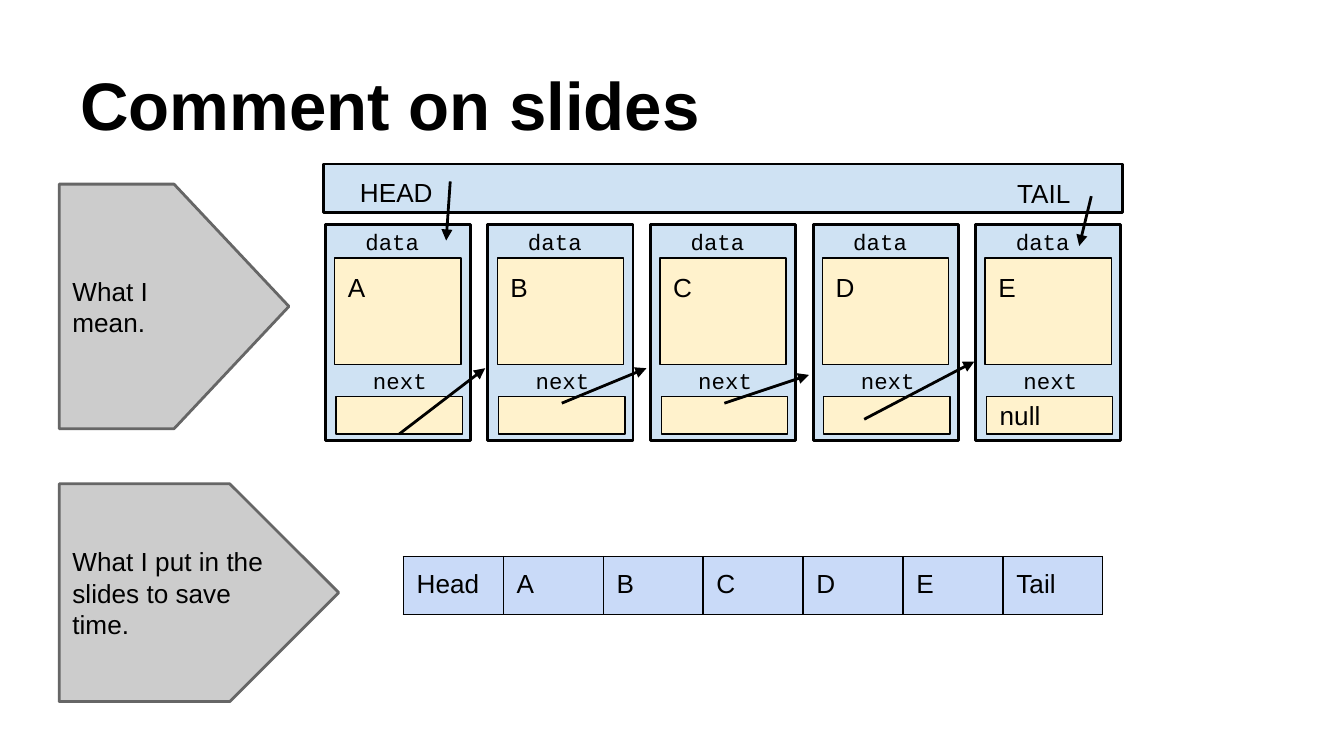
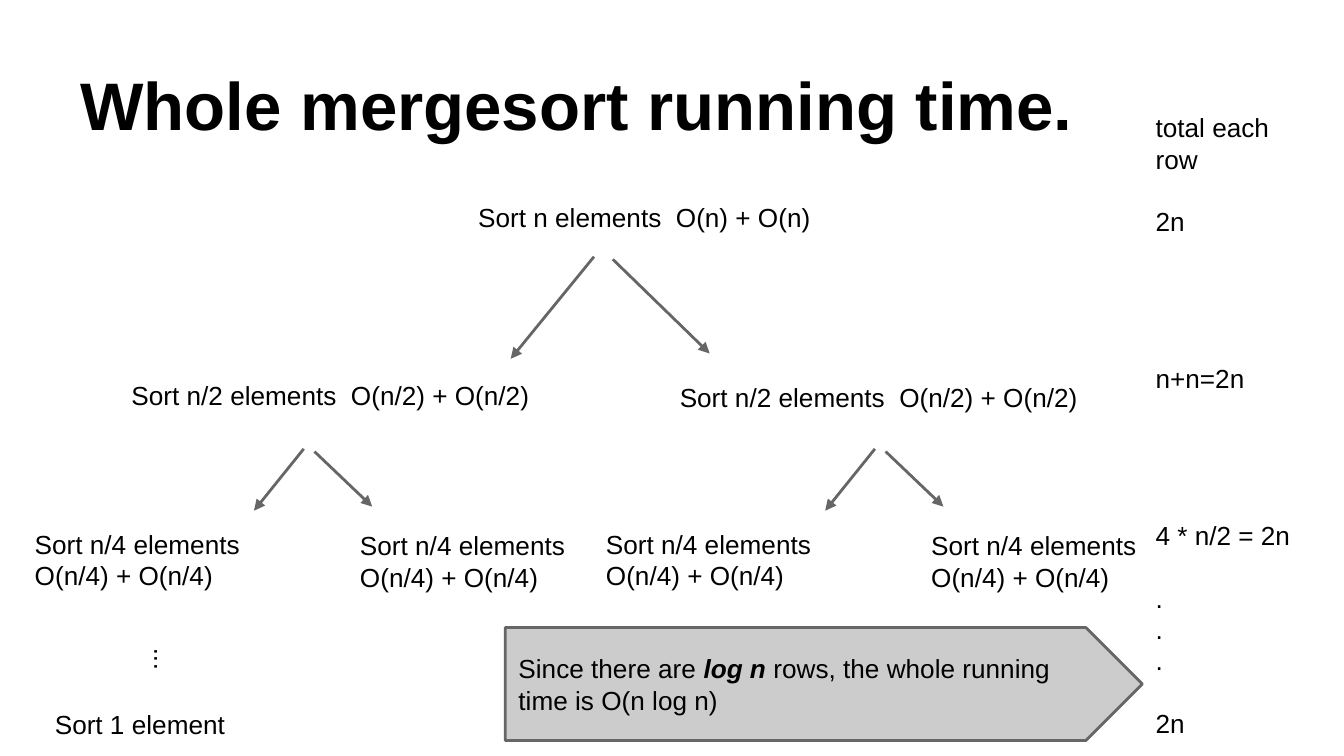
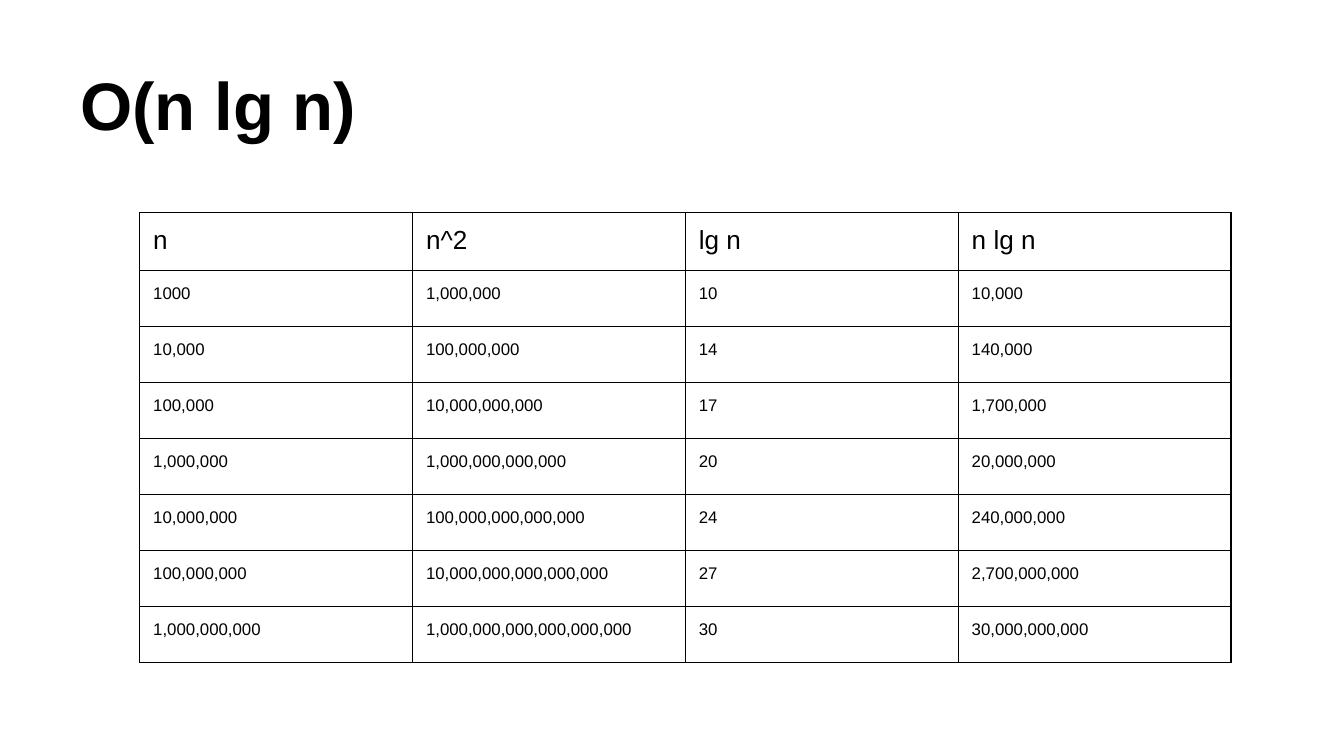
from lxml import etree
from pptx import Presentation
from pptx.dml.color import RGBColor
from pptx.enum.shapes import MSO_CONNECTOR, MSO_SHAPE
from pptx.enum.text import MSO_ANCHOR, PP_ALIGN
from pptx.oxml.ns import qn
from pptx.util import Inches, Pt

RECT, PENTAGON = MSO_SHAPE.RECTANGLE, MSO_SHAPE.PENTAGON
STRAIGHT = MSO_CONNECTOR.STRAIGHT
TOP, MIDDLE, BOTTOM = MSO_ANCHOR.TOP, MSO_ANCHOR.MIDDLE, MSO_ANCHOR.BOTTOM
LEFT, CENTER = PP_ALIGN.LEFT, PP_ALIGN.CENTER

BLACK = RGBColor(0x00, 0x00, 0x00)
GRAY = RGBColor(0x66, 0x66, 0x66)
LIGHT_GRAY = RGBColor(0xCC, 0xCC, 0xCC)
PALE_BLUE = RGBColor(0xCF, 0xE2, 0xF3)
LAVENDER = RGBColor(0xC9, 0xDA, 0xF8)
CREAM = RGBColor(0xFF, 0xF2, 0xCC)
SANS, MONO = "Arial", "Courier New"
MARGIN = Inches(0.1)


def add_box(s, x, y, w, h, text="", size=14, font=SANS, bold=False, anchor=TOP,
            align=LEFT, shape=None, fill=None, line=BLACK, weight=1.5):
    """Add a text box, or a filled and outlined shape when one is named."""
    area = Inches(x), Inches(y), Inches(w), Inches(h)
    if shape is None:
        sp = s.shapes.add_textbox(*area)
    else:
        sp = s.shapes.add_shape(shape, *area)
        sp.shadow.inherit = False
        sp.fill.solid()
        sp.fill.fore_color.rgb = fill
        sp.line.color.rgb = line
        sp.line.width = Pt(weight)
    tf = sp.text_frame
    tf.word_wrap = True
    tf.margin_left = tf.margin_right = tf.margin_top = tf.margin_bottom = MARGIN
    tf.vertical_anchor = anchor
    tf.text = text
    for p in tf.paragraphs:
        p.alignment = align
        for r in p.runs:
            r.font.name, r.font.size, r.font.bold = font, Pt(size), bold
            r.font.color.rgb = BLACK
    return sp


def add_arrow(s, x1, y1, x2, y2, color):
    line = s.shapes.add_connector(STRAIGHT, Inches(x1), Inches(y1), Inches(x2), Inches(y2))
    line.line.color.rgb = color
    line.line.width = Pt(1.5)
    etree.SubElement(line.line._get_or_add_ln(), qn("a:tailEnd"), type="triangle")
    etree.SubElement(line._element.spPr, qn("a:effectLst"))


prs = Presentation()
prs.slide_width, prs.slide_height = Inches(10), Inches(5.625)

# Slides with their shared title
slides = []
for title in ("Comment on slides", "Whole mergesort running time.", "O(n lg n)"):
    s = prs.slides.add_slide(prs.slide_layouts[6])
    add_box(s, 0.5, 0.23, 9, 0.94, title, size=36, bold=True, anchor=BOTTOM)
    slides.append(s)
list_slide, sort_slide, growth_slide = slides

# Slide 1: linked list nodes
s = list_slide
for i, letter in enumerate("ABCDE"):
    x = 2.42 + 1.21 * i
    add_box(s, x, 1.67, 1.08, 1.61, shape=RECT, fill=PALE_BLUE)
    add_box(s, x + 0.08, 2.95, 0.94, 0.28, "null" if letter == "E" else "",
            anchor=MIDDLE, shape=RECT, fill=CREAM, weight=0.75)
    add_box(s, x + 0.2, 2.63, 0.71, 0.38, "next", size=12, font=MONO, align=CENTER)
    add_box(s, x + 0.2, 1.6, 0.71, 0.38, "data", size=12, font=MONO)
    add_box(s, x + 0.07, 1.92, 0.94, 0.79, letter, shape=RECT, fill=CREAM, weight=0.75)

# Head and tail bar, then the pointers
add_box(s, 2.41, 1.22, 5.94, 0.36, shape=RECT, fill=PALE_BLUE)
add_box(s, 2.58, 1.21, 0.77, 0.27, "HEAD")
add_box(s, 7.47, 1.22, 0.82, 0.27, "TAIL")
for ends in ((2.97, 3.23, 3.61, 2.74), (4.18, 3, 4.81, 2.74), (5.39, 3, 6.02, 2.79),
             (6.43, 3.12, 7.25, 2.69), (3.35, 1.35, 3.32, 1.79), (8.12, 1.46, 8.03, 1.83)):
    add_arrow(s, *ends, BLACK)

# Labels of the two notations
for y, w, h, text in ((1.37, 1.71, 1.82, "What I mean."),
                      (3.6, 2.08, 1.62, "What I put in the slides to save time.")):
    add_box(s, 0.44, y, w, h, text, anchor=MIDDLE, shape=PENTAGON, fill=LIGHT_GRAY, line=GRAY)

# Slide 2: recursion tree
s = sort_slide
add_box(s, 3.46, 1.4, 3.54, 0.44, "Sort n elements  O(n) + O(n)")
add_arrow(s, 4.42, 1.91, 3.8, 2.67, GRAY)
add_arrow(s, 4.56, 1.93, 5.28, 2.63, GRAY)
for x, y in ((0.88, 2.72), (4.96, 2.74)):
    add_box(s, x, y, 3.54, 0.44, "Sort n/2 elements  O(n/2) + O(n/2)")
for x in (0.16, 4.41):
    add_arrow(s, x + 2.1, 3.34, x + 1.73, 3.8, GRAY)
    add_arrow(s, x + 2.18, 3.36, x + 2.61, 3.77, GRAY)
    for dx, y in ((0, 3.83), (2.42, 3.84)):
        add_box(s, x + dx, y, 2.09, 0.26, "Sort n/4 elements  O(n/4) + O(n/4)")
add_box(s, 0.75, 4.6, 0.61, 0.36, "...").rotation = 270
add_box(s, 0.31, 5.17, 2.64, 0.26, "Sort 1 element")

# Row totals, spaced by whole lines to meet the tree levels
LINE = 16.8
totals = (("total each row", 0), ("2n", 1), ("n+n=2n", 4), ("4 * n/2 = 2n", 4),
          (".", 1), (".", 0), (".", 0), ("2n", 1))
sp = add_box(s, 8.5, 0.73, 1.3, 4.7, "\n".join(text for text, gap in totals))
for p, (text, gap) in zip(sp.text_frame.paragraphs, totals):
    p.space_before = Pt(LINE * gap)

# Conclusion
sp = add_box(s, 3.76, 4.67, 4.74, 0.84, "Since there are ", anchor=MIDDLE,
             shape=PENTAGON, fill=LIGHT_GRAY, line=GRAY)
p = sp.text_frame.paragraphs[0]
for text, strong in (("log n", True), (" rows, the whole running time is O(n log n)", False)):
    r = p.add_run()
    r.text = text
    r.font.name, r.font.size = SANS, Pt(14)
    r.font.bold = r.font.italic = strong
    r.font.color.rgb = BLACK

# Tables: the short list notation on slide 1, the growth rates on slide 3
list_rows = [("Head", "A", "B", "C", "D", "E", "Tail")]
growth_rows = [
    ("n", "n^2", "lg n", "n lg n"),
    ("1000", "1,000,000", "10", "10,000"),
    ("10,000", "100,000,000", "14", "140,000"),
    ("100,000", "10,000,000,000", "17", "1,700,000"),
    ("1,000,000", "1,000,000,000,000", "20", "20,000,000"),
    ("10,000,000", "100,000,000,000,000", "24", "240,000,000"),
    ("100,000,000", "10,000,000,000,000,000", "27", "2,700,000,000"),
    ("1,000,000,000", "1,000,000,000,000,000,000", "30", "30,000,000,000"),
]
ROW_H = 0.417
for s, x, y, col_w, rows, fill in ((list_slide, 3, 4.14, 0.744, list_rows, LAVENDER),
                                   (growth_slide, 1.04, 1.58, 2.03, growth_rows, None)):
    cols = len(rows[0])
    table = s.shapes.add_table(len(rows), cols, Inches(x), Inches(y),
                               Inches(col_w * cols), Inches(ROW_H * len(rows))).table
    table.first_row = table.horz_banding = False
    for i, row in enumerate(rows):
        for j, text in enumerate(row):
            cell = table.cell(i, j)
            cell.margin_left = cell.margin_right = MARGIN
            cell.margin_top = cell.margin_bottom = MARGIN
            cell.text = text
            r = cell.text_frame.paragraphs[0].runs[0]
            r.font.name, r.font.size = SANS, Pt(14 if i == 0 else 9)
            r.font.color.rgb = BLACK
            tc_pr = cell._tc.get_or_add_tcPr()
            for side in ("a:lnL", "a:lnR", "a:lnT", "a:lnB"):
                ln = etree.SubElement(tc_pr, qn(side), w=str(Pt(0.75)))
                solid = etree.SubElement(ln, qn("a:solidFill"))
                etree.SubElement(solid, qn("a:srgbClr"), val=str(BLACK))
            if fill is None:
                cell.fill.background()
            else:
                cell.fill.solid()
                cell.fill.fore_color.rgb = fill

prs.save("out.pptx")
